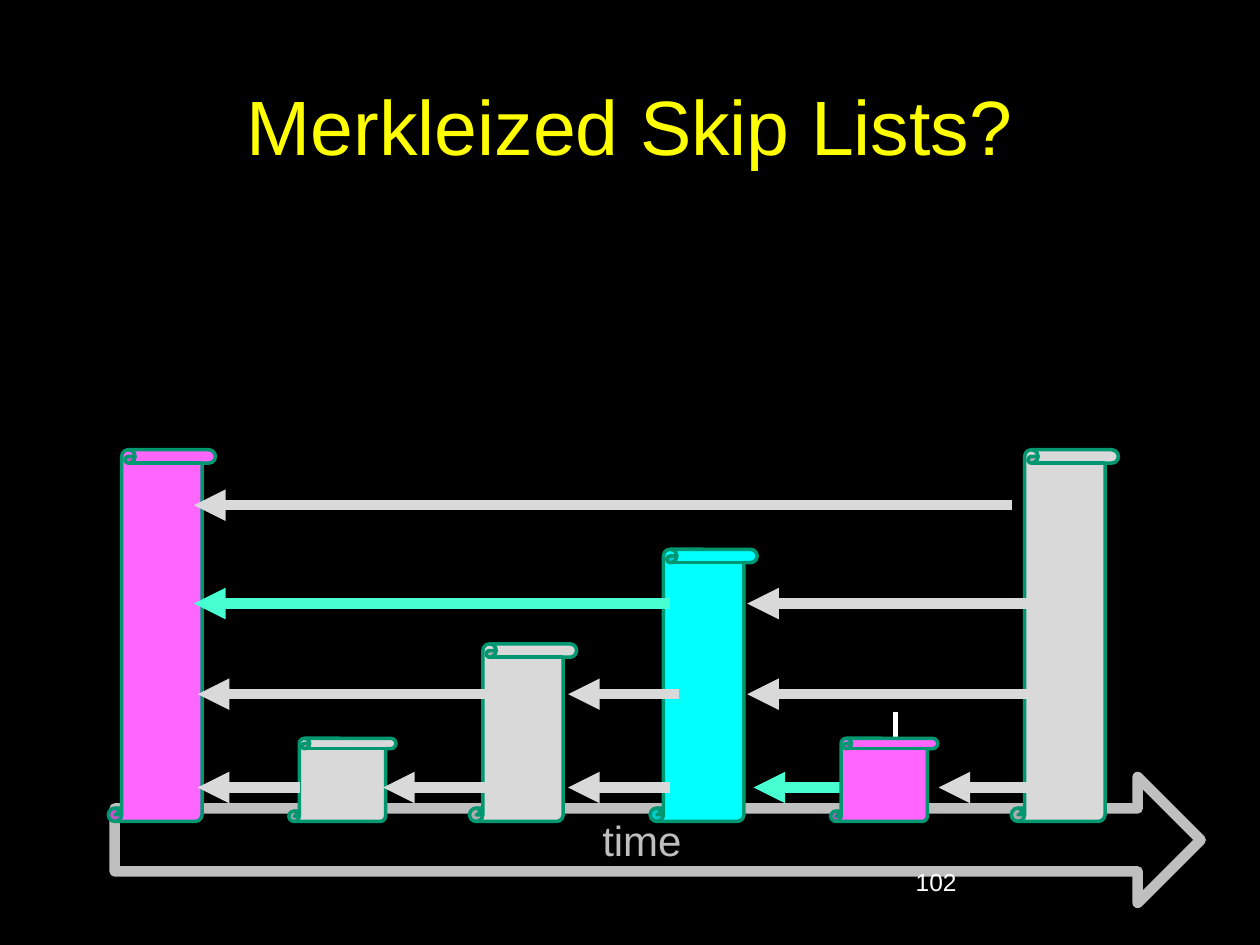
from lxml import etree
from pptx import Presentation
from pptx.dml.color import RGBColor
from pptx.enum.shapes import MSO_CONNECTOR, MSO_SHAPE
from pptx.enum.text import MSO_ANCHOR, PP_ALIGN
from pptx.oxml.ns import qn
from pptx.util import Pt

STRAIGHT = MSO_CONNECTOR.STRAIGHT
RIGHT_ARROW, SCROLL = MSO_SHAPE.RIGHT_ARROW, MSO_SHAPE.VERTICAL_SCROLL
TOP, MIDDLE = MSO_ANCHOR.TOP, MSO_ANCHOR.MIDDLE
LEFT, CENTER = PP_ALIGN.LEFT, PP_ALIGN.CENTER

COLORS = {
    "black": "000000", "white": "FFFFFF", "yellow": "FFFF00",
    "time": "BFBFBF", "gray": "D9D9D9", "pink": "FF66FF",
    "cyan": "00FFFF", "path": "47FFD1", "edge": "009771",
}

# Skip list, relative to its box
BLOCK_PITCH, BLOCK_WIDTH = 103.2, 61.2
BLOCKS = [  # height, colour
    (212.4, "pink"), (47.5, "gray"), (101.5, "gray"),
    (155.5, "cyan"), (47.5, "pink"), (212.4, "gray"),
]
STEM_BOTTOM = 198.7
STEMS = [(157, 169.9), (257, 120.2), (450, 149.7), (355, 97.9), (545.8, 69.8)]
LEVELS = [193, 139.7, 87.9, 31.7]
HIDDEN_LINK = (0, 427, 368.7, "path")  # runs behind its block
LINKS = [  # level, from x, to x, colour
    (0, 109.5, 51.1, "gray"), (0, 215.3, 157, "gray"),
    (0, 321.1, 262.8, "gray"), (0, 532.8, 474.5, "gray"),
    (1, 220.3, 51.1, "gray"), (1, 326.2, 262.8, "gray"),
    (1, 535, 365.1, "gray"), (2, 540.7, 365.1, "gray"),
    (3, 516.3, 49, "gray"), (2, 321.1, 49, "path"),
]


def rgb(name):
    return RGBColor.from_string(COLORS[name])


def write(frame, text, size, color, align, anchor):
    frame.word_wrap = True
    frame.vertical_anchor = anchor
    paragraph = frame.paragraphs[0]
    paragraph.text = text
    paragraph.alignment = align
    paragraph.font.name = "Arial"
    paragraph.font.size = Pt(size)
    paragraph.font.color.rgb = rgb(color)


def add_label(slide, box, *style):
    label = slide.shapes.add_textbox(*map(Pt, box))
    write(label.text_frame, *style)


def add_outlined(slide, preset, box, fill, edge, weight):
    shape = slide.shapes.add_shape(preset, *map(Pt, box))
    shape.shadow.inherit = False
    shape.fill.solid()
    shape.fill.fore_color.rgb = rgb(fill)
    shape.line.color.rgb = rgb(edge)
    shape.line.width = Pt(weight)
    return shape


def add_line(slide, start, end, color, weight, arrow=False):
    line = slide.shapes.add_connector(STRAIGHT, *map(Pt, start + end))
    line.line.color.rgb = rgb(color)
    line.line.width = Pt(weight)
    if arrow:
        outline = line.line._get_or_add_ln()
        etree.SubElement(outline, qn("a:tailEnd"), type="triangle")
    etree.SubElement(line._element.spPr, qn("a:effectLst"))


def add_time_arrow(slide, box):
    arrow = add_outlined(slide, RIGHT_ARROW, box, "black", "time", 6)
    write(arrow.text_frame, "time", 24, "time", CENTER, MIDDLE)


def add_skip_list(slide, box):
    left, top, _, height = box

    def add_link(level, start, end, color):
        y = top + LEVELS[level]
        add_line(slide, (left + start, y), (left + end, y), color, 6, True)

    add_link(*HIDDEN_LINK)
    # Stems behind the blocks
    for x, stem_top in STEMS:
        add_line(slide, (left + x, top + stem_top),
                 (left + x, top + STEM_BOTTOM), "white", 3)
    # Blocks share one baseline and an equal pitch
    for i, (block_height, color) in enumerate(BLOCKS):
        block = (left + i * BLOCK_PITCH, top + height - block_height,
                 BLOCK_WIDTH, block_height)
        add_outlined(slide, SCROLL, block, color, "edge", 2)
    # Back links on each level
    for link in LINKS:
        add_link(*link)


def main():
    deck = Presentation()
    deck.slide_width, deck.slide_height = Pt(720), Pt(540)
    slide = deck.slides.add_slide(deck.slide_layouts[6])
    slide.background.fill.solid()
    slide.background.fill.fore_color.rgb = rgb("black")

    add_time_arrow(slide, (65.5, 444, 620.6, 72))
    add_label(slide, (516.2, 491.8, 167.8, 37.4),
              "102", 14, "white", LEFT, TOP)
    add_label(slide, (54, 26, 612, 90),
              "Merkleized Skip Lists?", 44, "yellow", CENTER, MIDDLE)
    add_skip_list(slide, (61.9, 257, 577.2, 212.4))
    deck.save("out.pptx")


if __name__ == "__main__":
    main()
